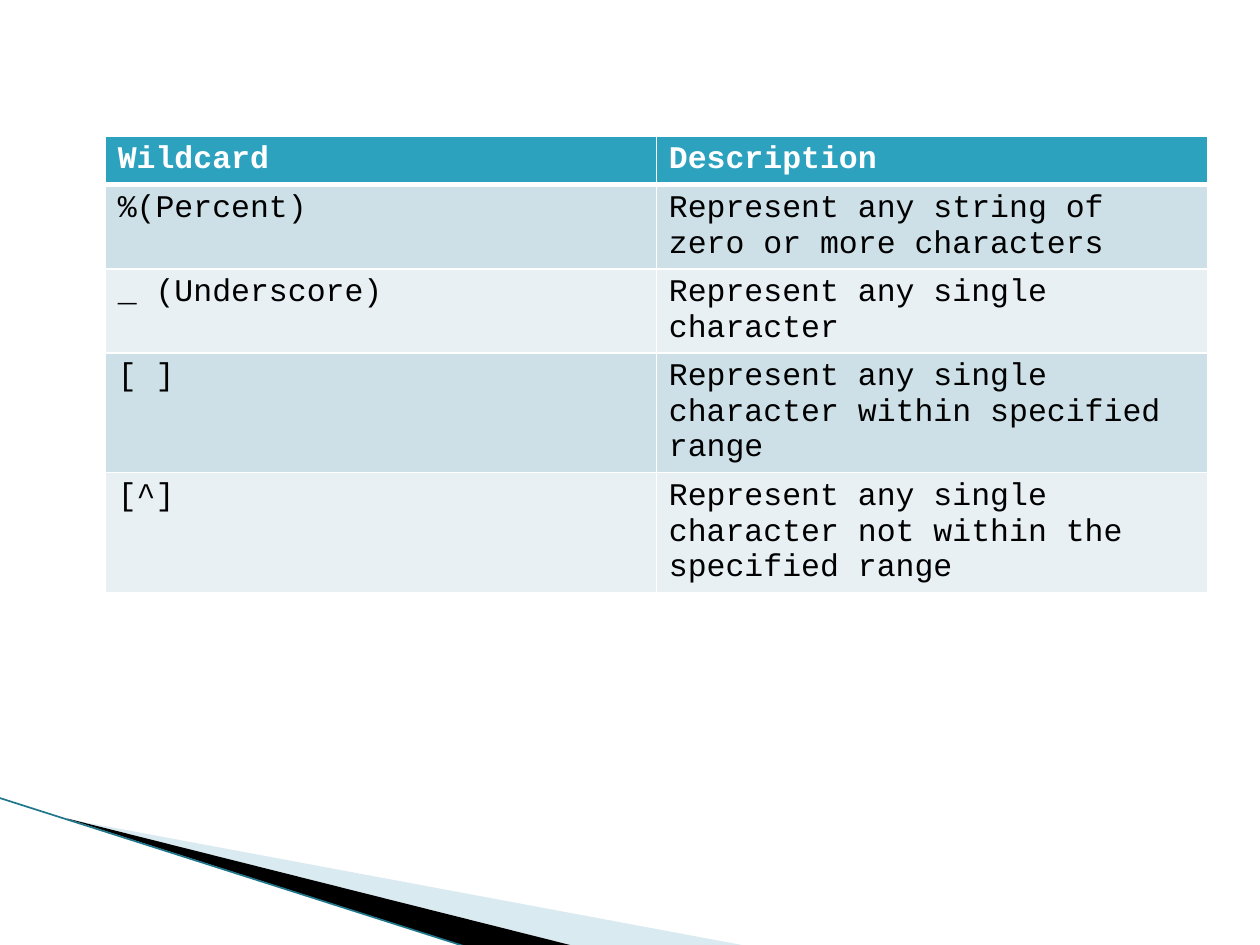
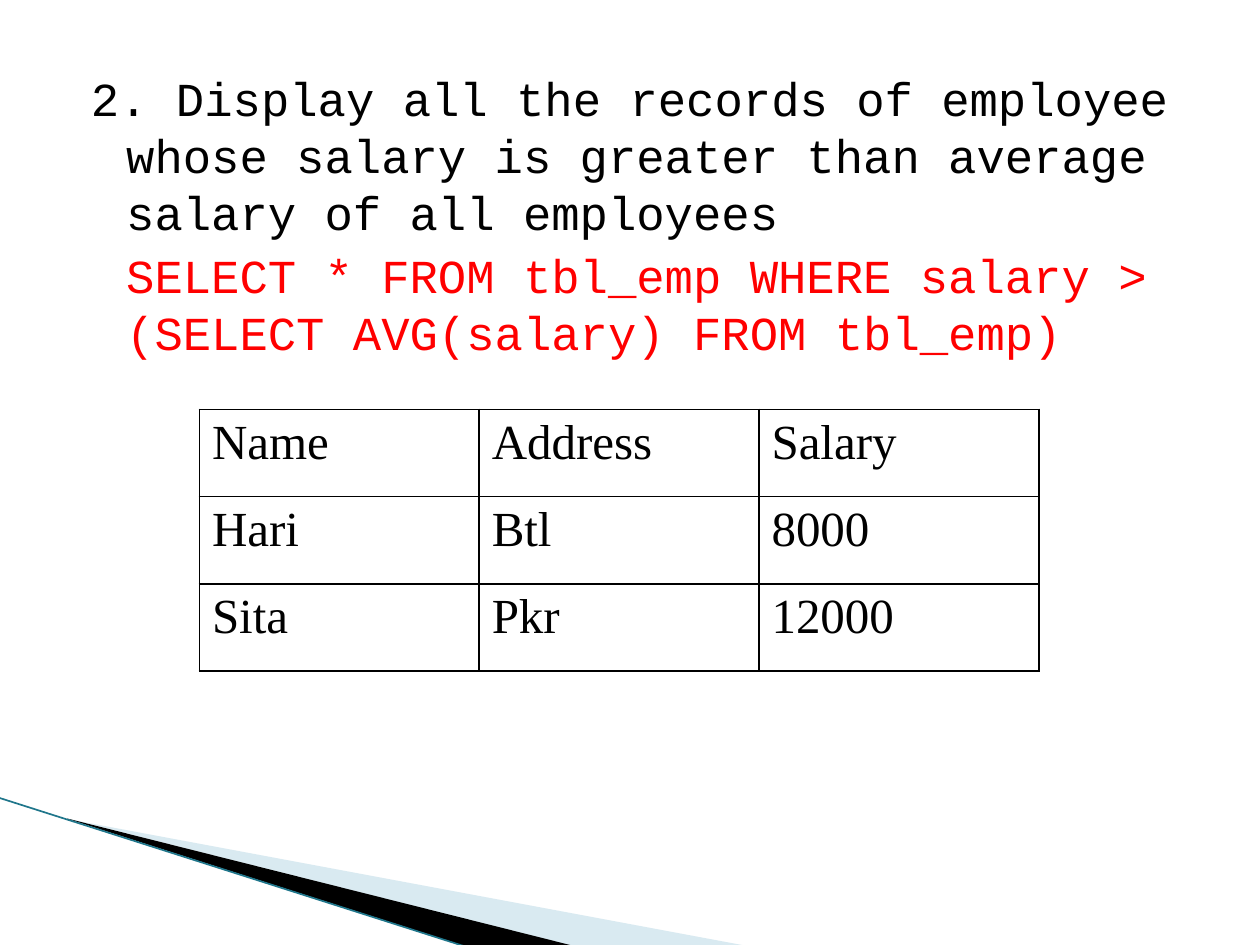
from dataclasses import dataclass
from typing import Optional

from lxml.etree import SubElement
from pptx import Presentation
from pptx.dml.color import RGBColor
from pptx.enum.shapes import MSO_CONNECTOR as Connector
from pptx.enum.text import MSO_ANCHOR as Anchor, MSO_AUTO_SIZE as AutoSize
from pptx.oxml import parse_xml
from pptx.oxml.ns import nsdecls, qn
from pptx.slide import Slide
from pptx.util import Cm, Pt

COLORS = {
    "white": "FFFFFF",
    "black": "000000",
    "red": "FF0000",
    "header": "2DA2BF",
    "band_dark": "CDE0E8",
    "band_light": "E8F0F4",
    "wedge": "A0CBDC",
    "edge": "1F768B",
}
CODE_FONT = "Courier New"
TABLE_FONT = "Times New Roman"


@dataclass(frozen=True)
class Wedge:
    points: tuple[tuple[float, float], ...]
    frame: tuple[float, float, float, float]
    color: str
    opacity: int = 100


@dataclass(frozen=True)
class TableStyle:
    font: str
    size: int
    border: str
    header_fill: Optional[str] = None
    header_text: str = "black"
    bands: tuple[str, ...] = ()
    header_rule: float = 1


@dataclass(frozen=True)
class TableBlock:
    left: float
    top: float
    column_width: float
    row_heights: tuple[float, ...]
    rows: tuple[tuple[str, ...], ...]
    style: TableStyle


@dataclass(frozen=True)
class BodyParagraph:
    text: str
    color: str
    first_indent: float


WEDGES = (
    Wedge(((1.4, 16.52), (15.11, 19.08), (11.58, 19.08), (1.4, 16.51)),
          (1.98, 13.89, 10.57, 4.01), "wedge", 40),
    Wedge(((1.35, 16.5), (11.61, 19.08), (9.46, 19.1), (1.37, 16.51)),
          (-0.15, 16.08, 10.57, 2.34), "black"),
)
EDGE = (-0.03, 16.08, 9.44, 19.1)

WILDCARDS = TableBlock(
    2.12, 2.75, 11.11, (0.85, 1.47, 1.43, 2.02, 2.02),
    (
        ("Wildcard", "Description"),
        ("%(Percent)", "Represent any string of zero or more characters"),
        ("_ (Underscore)", "Represent any single character"),
        ("[ ]", "Represent any single character within specified range"),
        ("[^]", "Represent any single character not within the specified range"),
    ),
    TableStyle(CODE_FONT, 18, "white", "header", "white", ("band_dark", "band_light"), 3),
)
EMPLOYEES = TableBlock(
    4.02, 8.25, 5.64, (1.76,) * 3,
    (
        ("Name", "Address", "Salary"),
        ("Hari", "Btl", "8000"),
        ("Sita", "Pkr", "12000"),
    ),
    TableStyle(TABLE_FONT, 28, "black"),
)
QUESTION = (
    BodyParagraph(
        "2. Display all the records of employee whose salary is greater than "
        "average salary of all employees", "black", -0.71),
    BodyParagraph(
        "SELECT * FROM tbl_emp WHERE salary > (SELECT AVG(salary) FROM tbl_emp)",
        "red", 0),
)


def rgb(name: str) -> RGBColor:
    return RGBColor.from_string(COLORS[name])


def add_run(paragraph, text: str, font: str, size: float, color: str, bold: bool = False) -> None:
    run = paragraph.add_run()
    run.text = text
    run.font.name = font
    run.font.size = Pt(size)
    run.font.bold = bold
    run.font.color.rgb = rgb(color)


def set_frame(shape, frame: tuple[float, float, float, float]) -> None:
    """Give a freeform its frame and leave its outline where it is."""
    left, top, width, height = map(Cm, frame)
    shift_x, shift_y = shape.left - left, shape.top - top
    outline = shape.element.spPr.find(".//" + qn("a:path"))
    outline.set("w", str(width))
    outline.set("h", str(height))
    for point in outline.iter(qn("a:pt")):
        point.set("x", str(int(point.get("x")) + shift_x))
        point.set("y", str(int(point.get("y")) + shift_y))
    shape.left, shape.top, shape.width, shape.height = left, top, width, height


def draw_corner(slide: Slide) -> None:
    """Draw the wedges and the edge line in the lower left corner."""
    for wedge in WEDGES:
        start, *others = [(Cm(x), Cm(y)) for x, y in wedge.points]
        builder = slide.shapes.build_freeform(*start)
        builder.add_line_segments(others, close=True)
        shape = builder.convert_to_shape()
        set_frame(shape, wedge.frame)
        shape.shadow.inherit = False
        shape.line.fill.background()
        shape.fill.solid()
        shape.fill.fore_color.rgb = rgb(wedge.color)
        if wedge.opacity < 100:
            color = shape.element.spPr.find(".//" + qn("a:srgbClr"))
            SubElement(color, qn("a:alpha"), val=str(wedge.opacity * 1000))
    line = slide.shapes.add_connector(Connector.STRAIGHT, *map(Cm, EDGE))
    line.line.color.rgb = rgb("edge")
    line.line.width = Pt(0.95)
    SubElement(line.element.spPr, qn("a:effectLst"))


def set_borders(cell, color: str, top: float, bottom: float) -> None:
    properties = cell._tc.get_or_add_tcPr()
    widths = {"lnL": 1, "lnR": 1, "lnT": top, "lnB": bottom}
    for position, (tag, width) in enumerate(widths.items()):
        properties.insert(position, parse_xml(
            f'<a:{tag} {nsdecls("a")} w="{Pt(width)}"><a:solidFill>'
            f'<a:srgbClr val="{COLORS[color]}"/></a:solidFill></a:{tag}>'))


def draw_table(slide: Slide, block: TableBlock) -> None:
    style = block.style
    column_count = len(block.rows[0])
    table = slide.shapes.add_table(
        len(block.rows), column_count, Cm(block.left), Cm(block.top),
        Cm(block.column_width * column_count), Cm(sum(block.row_heights))).table
    table.horz_banding = bool(style.bands)
    for column in table.columns:
        column.width = Cm(block.column_width)
    for index, (height, texts) in enumerate(zip(block.row_heights, block.rows)):
        table.rows[index].height = Cm(height)
        is_header = index == 0
        fill = style.header_fill
        if not is_header:
            fill = style.bands[(index - 1) % len(style.bands)] if style.bands else None
        for cell, text in zip(table.rows[index].cells, texts):
            cell.vertical_anchor = Anchor.TOP
            add_run(cell.text_frame.paragraphs[0], text, style.font, style.size,
                    style.header_text if is_header else "black",
                    is_header and style.header_fill is not None)
            if fill:
                cell.fill.solid()
                cell.fill.fore_color.rgb = rgb(fill)
            else:
                cell.fill.background()
            set_borders(cell, style.border,
                        top=style.header_rule if index == 1 else 1,
                        bottom=style.header_rule if is_header else 1)


def fill_body(slide: Slide, paragraphs: tuple[BodyParagraph, ...]) -> None:
    body = slide.placeholders[1]
    body.left, body.top, body.width, body.height = map(Cm, (1.27, 1.27, 22.86, 15.42))
    frame = body.text_frame
    frame.word_wrap = True
    frame.auto_size = AutoSize.NONE
    for index, item in enumerate(paragraphs):
        paragraph = frame.add_paragraph() if index else frame.paragraphs[0]
        paragraph.space_before = Pt(4)
        properties = paragraph._p.get_or_add_pPr()
        properties.set("marL", str(Cm(1.02)))
        properties.set("indent", str(Cm(item.first_indent)))
        SubElement(properties, qn("a:buNone"))
        add_run(paragraph, item.text, CODE_FONT, 27, item.color)


def main() -> None:
    presentation = Presentation()
    presentation.slide_width, presentation.slide_height = Cm(25.4), Cm(19.05)
    layouts = presentation.slide_layouts

    # Wildcards
    slide = presentation.slides.add_slide(layouts.get_by_name("Blank"))
    draw_corner(slide)
    draw_table(slide, WILDCARDS)

    # Subquery on the employees' salary
    slide = presentation.slides.add_slide(layouts.get_by_name("Title and Content"))
    title = slide.shapes.title.element
    title.getparent().remove(title)
    draw_corner(slide)
    fill_body(slide, QUESTION)
    draw_table(slide, EMPLOYEES)

    presentation.save("out.pptx")


if __name__ == "__main__":
    main()
